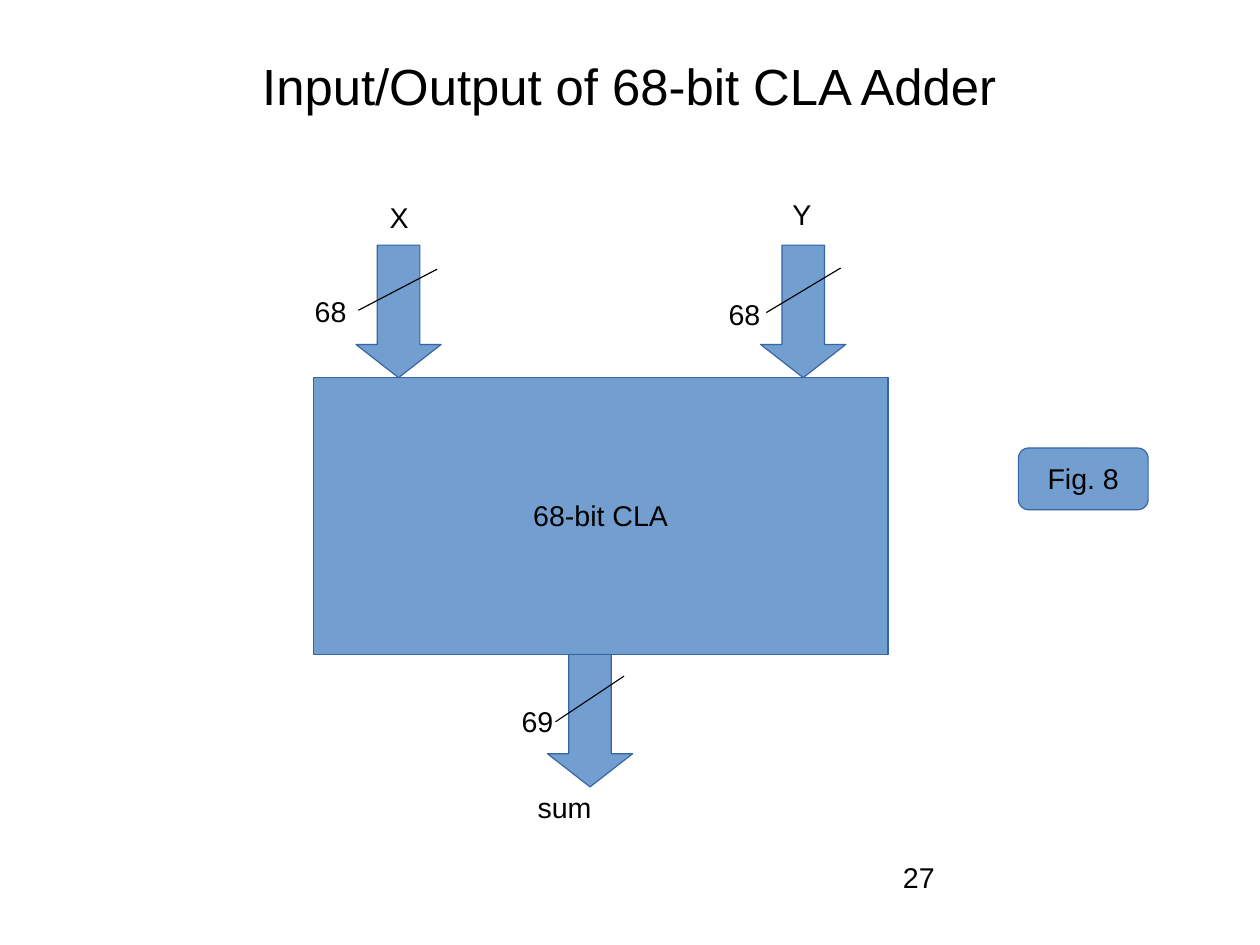
import pptx
import pptx.util
import pptx.dml.color
import pptx.enum.shapes
import pptx.enum.text
import pptx.oxml.ns
from lxml import etree

COLORS = {"fill": "729FCF", "edge": "3465A4", "ink": "000000"}
FONT = "Arial"
SHAPE = pptx.enum.shapes.MSO_SHAPE
ALIGN = pptx.enum.text.PP_ALIGN
ANCHOR = pptx.enum.text.MSO_ANCHOR
PAD = (1, 0.6, 1, 0.5)
BARE = (0, 0, 0, 0)


def cells(count):
    """Length of a number of grid cells, ten to the inch."""
    return pptx.util.Inches(count / 10)


def color(name):
    return pptx.dml.color.RGBColor.from_string(COLORS[name])


def write(shape, text, size=18, align=ALIGN.LEFT, anchor=ANCHOR.TOP, pad=PAD):
    frame = shape.text_frame
    frame.word_wrap = True
    frame.vertical_anchor = anchor
    frame.margin_left, frame.margin_top, frame.margin_right, frame.margin_bottom = map(cells, pad)
    frame.text = text
    line = frame.paragraphs[0]
    line.alignment = align
    line.line_spacing = 0.94
    font = line.runs[0].font
    font.name = FONT
    font.size = pptx.util.Pt(size)
    font.color.rgb = color("ink")


def label(slide, box, text, **style):
    write(slide.shapes.add_textbox(*map(cells, box)), text, **style)


def block(slide, kind, box, text=""):
    shape = slide.shapes.add_shape(kind, *map(cells, box))
    shape.shadow.inherit = False
    shape.fill.solid()
    shape.fill.fore_color.rgb = color("fill")
    shape.line.color.rgb = color("edge")
    shape.line.width = pptx.util.Pt(0.75)
    if text:
        write(shape, text, align=ALIGN.CENTER, anchor=ANCHOR.MIDDLE)
    return shape


def slash(slide, start, end):
    line = slide.shapes.add_connector(
        pptx.enum.shapes.MSO_CONNECTOR.STRAIGHT, *map(cells, start + end))
    line.line.color.rgb = color("ink")
    line.line.width = pptx.util.Pt(0.75)
    etree.SubElement(line._element.spPr, pptx.oxml.ns.qn("a:effectLst"))


def bus(slide, box, name, width, marks):
    """Arrow with a slash, its bit width and its name, all offset from the box."""
    left, top = box[:2]
    start, end, width_at, name_at = [(left + x, top + y) for x, y in marks]
    arrow = block(slide, SHAPE.DOWN_ARROW, box)
    arrow.adjustments[0] = 0.5
    arrow.adjustments[1] = 0.39
    slash(slide, start, end)
    label(slide, width_at + (5.5, 3.8), width)
    label(slide, name_at + (8, 3.8), name)


def adder(slide, box):
    left, top, wide, high = box
    block(slide, SHAPE.RECTANGLE, box, "68-bit CLA")
    reach = 11.6
    buses = [
        ("X", "68", 3.75, -reach, [(0.2, 5.7), (7.1, 2.1), (-4.6, 3.9), (1.95, -4.3)]),
        ("Y", "68", 39.15, -reach, [(0.5, 5.9), (7, 2), (-3.8, 4.2), (1.8, -4.55)]),
        ("sum", "69", 20.5, high, [(0.7, 5.9), (6.7, 1.9), (-3.25, 4), (-1.85, 11.5)]),
    ]
    for name, width, x, y, marks in buses:
        bus(slide, (left + x, top + y, 7.45, reach), name, width, marks)


def main():
    deck = pptx.Presentation()
    deck.slide_width = pptx.util.Cm(28)
    deck.slide_height = pptx.util.Cm(21)
    slide = deck.slides.add_slide(deck.slide_layouts[6])
    label(slide, (5.5, 3.3, 99.2, 8.5), "Input/Output of 68-bit CLA Adder",
          size=32, align=ALIGN.CENTER, anchor=ANCHOR.MIDDLE, pad=(0, 0.3, 0, 0))
    adder(slide, (27.4, 33.05, 50.3, 24.2))
    block(slide, SHAPE.ROUNDED_RECTANGLE, (89.1, 39.2, 11.35, 5.4), "Fig. 8")
    label(slide, (79, 75.45, 25.6, 5.7), "27", pad=BARE)
    deck.save("out.pptx")


if __name__ == "__main__":
    main()
